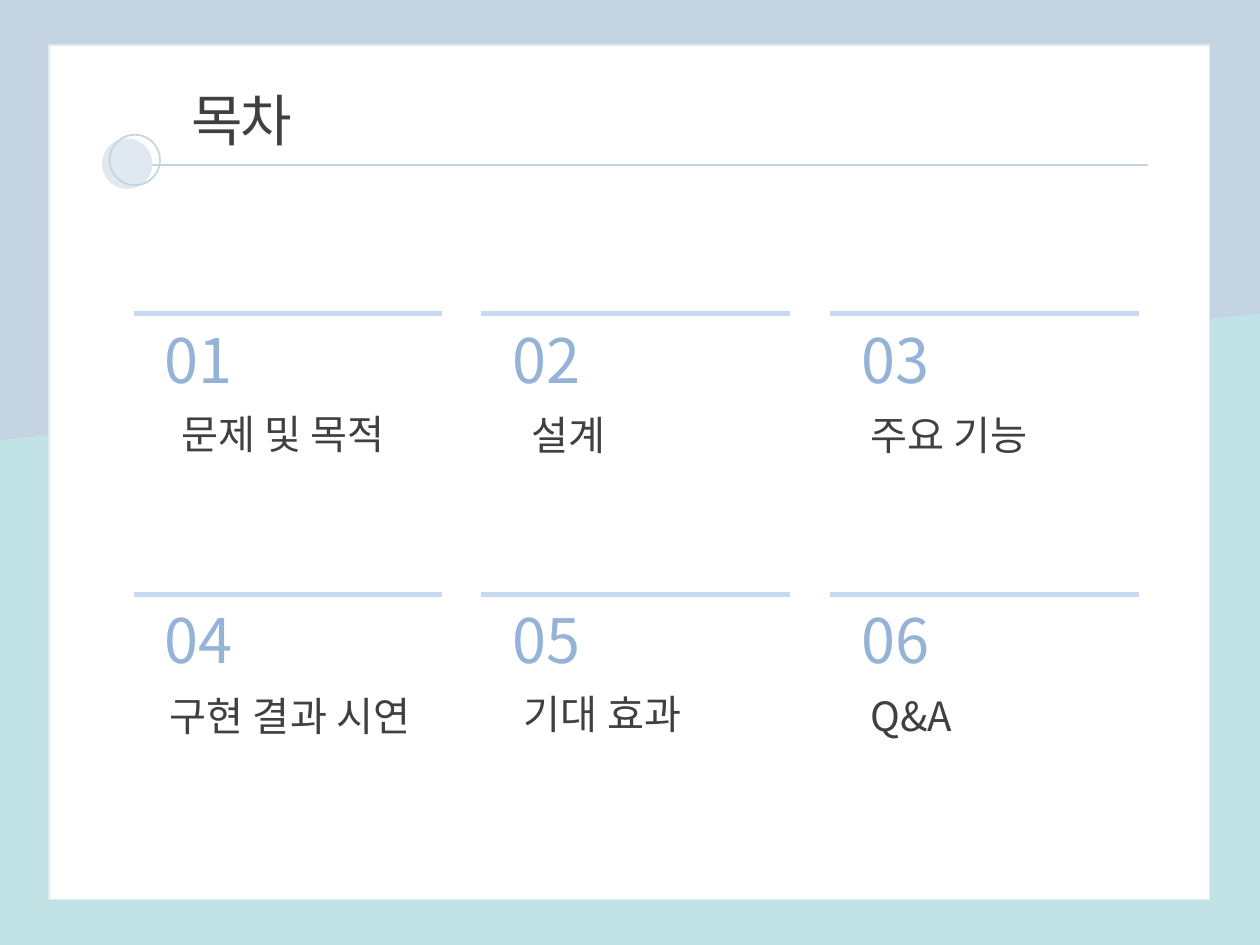
import pptx
import pptx.dml.color
import pptx.enum.shapes
import pptx.enum.text
import pptx.oxml.ns
import pptx.util
from lxml import etree

PX = 9144  # EMU in one px, 100 px to the inch
FONT = "Noto Sans CJK KR"
COLORS = {
    "sky": "C4D4E2",
    "mint": "C1E3E5",
    "white": "FFFFFF",
    "pale": "E0E8F0",
    "rule": "C6D9F1",
    "number": "95B3D7",
    "text": "404040",
}
rgb = {name: pptx.dml.color.RGBColor.from_string(value) for name, value in COLORS.items()}
kinds = pptx.enum.shapes.MSO_SHAPE
qn = pptx.oxml.ns.qn

deck = pptx.Presentation()
deck.slide_width = 1000 * PX
deck.slide_height = 750 * PX
slide = deck.slides.add_slide(deck.slide_layouts[6])


def add_line(left, right, top, color, points):
    line = slide.shapes.add_connector(
        pptx.enum.shapes.MSO_CONNECTOR.STRAIGHT, left * PX, top * PX, right * PX, top * PX
    )
    line.line.color.rgb = rgb[color]
    line.line.width = pptx.util.Pt(points)
    etree.SubElement(line._element.spPr, qn("a:effectLst"))


def add_text(left, top, width, height, text, size, color, wrap=True, spacing=0):
    box = slide.shapes.add_textbox(left * PX, top * PX, width * PX, height * PX)
    frame = box.text_frame
    frame.word_wrap = wrap
    frame.auto_size = pptx.enum.text.MSO_AUTO_SIZE.SHAPE_TO_FIT_TEXT
    para = frame.paragraphs[0]
    para.text = text
    para.font.size = pptx.util.Pt(size)
    para.font.color.rgb = rgb[color]
    para.font.name = FONT
    # East Asian typeface and letter spacing
    properties = para._p.pPr.find(qn("a:defRPr"))
    etree.SubElement(properties, qn("a:ea"), typeface=FONT)
    if spacing:
        properties.set("spc", str(spacing))


# Backdrop and white card
for kind, left, top, width, height, fill, outline in [
    (kinds.RECTANGLE, 0, 0, 1000, 750, "sky", None),
    (kinds.FLOWCHART_MANUAL_INPUT, 0, 249, 1000, 501, "mint", None),
    (kinds.RECTANGLE, 39, 36, 921, 678, "white", "pale"),
]:
    panel = slide.shapes.add_shape(kind, left * PX, top * PX, width * PX, height * PX)
    panel.shadow.inherit = False
    panel.fill.solid()
    panel.fill.fore_color.rgb = rgb[fill]
    if outline:
        panel.line.color.rgb = rgb[outline]
        panel.line.width = pptx.util.Pt(1)
    else:
        panel.line.fill.background()

# Heading rule with its two circles
add_line(89, 911, 131, "sky", 1.5)
disc = slide.shapes.add_shape(kinds.OVAL, 81 * PX, 110 * PX, 40 * PX, 40 * PX)
disc.shadow.inherit = False
disc.fill.solid()
disc.fill.fore_color.rgb = rgb["pale"]
disc.line.fill.background()
ring = slide.shapes.add_shape(kinds.OVAL, 87 * PX, 107 * PX, 40 * PX, 40 * PX)
ring.shadow.inherit = False
ring.fill.background()
ring.line.color.rgb = rgb["sky"]
ring.line.width = pptx.util.Pt(1)

# Contents: three columns, two rows; each label has its own place
labels = [
    ("문제 및 목적", 134, 320, 209),
    ("설계", 412, 321, 88),
    ("주요 기능", 681, 321, 195),
    ("구현 결과 시연", 125, 544, 245),
    ("기대 효과", 406, 542, 245),
    ("Q&A", 681, 544, 105),
]
column_lefts = [106, 382, 659]
row_tops = [249, 472]
for index, (label, label_left, label_top, label_width) in enumerate(labels):
    row, column = divmod(index, 3)
    left, top = column_lefts[column], row_tops[row]
    add_line(left, left + 245, top, "rule", 3)
    add_text(left + 15, top + 2 - row, 88, 69, f"{index + 1:02}", 35, "number")
    add_text(label_left, label_top, label_width, 49, label, 23, "text")

# Title
add_text(142, 63, 106, 64, "목차", 32, "text", wrap=False, spacing=-150)

deck.save("out.pptx")
